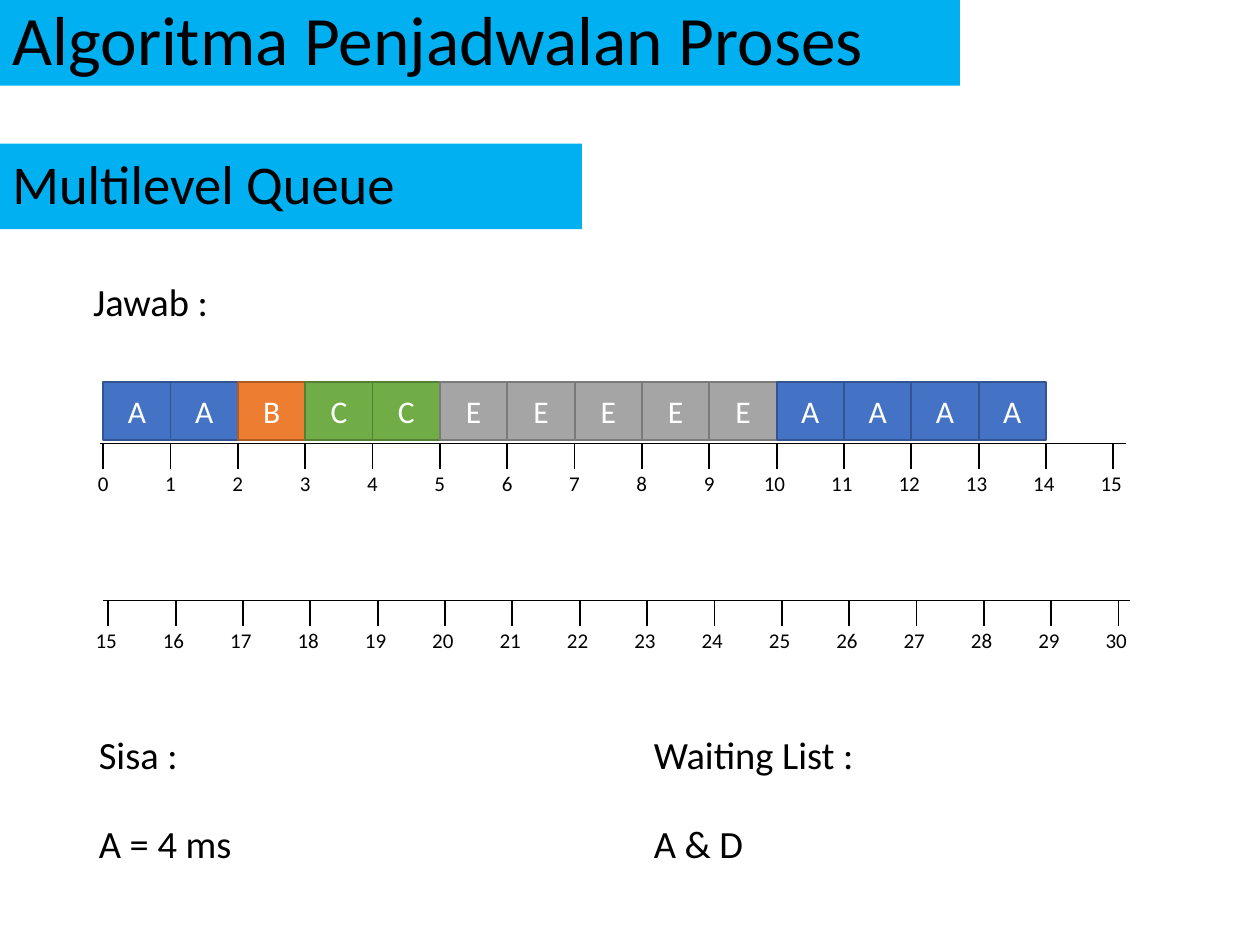
"""Build the multilevel queue scheduling slide with its two timelines."""
from dataclasses import dataclass

from lxml.etree import SubElement
from pptx import Presentation
from pptx.dml.color import RGBColor
from pptx.enum.shapes import MSO_CONNECTOR, MSO_SHAPE
from pptx.enum.text import MSO_ANCHOR, MSO_AUTO_SIZE, PP_ALIGN
from pptx.oxml.ns import qn
from pptx.shapes.autoshape import Shape
from pptx.slide import Slide
from pptx.util import Pt

BLACK = RGBColor(0x00, 0x00, 0x00)
WHITE = RGBColor(0xFF, 0xFF, 0xFF)
SKY = RGBColor(0x00, 0xB0, 0xF0)
BLUE, BLUE_EDGE = RGBColor(0x44, 0x72, 0xC4), RGBColor(0x32, 0x54, 0x91)
ORANGE, ORANGE_EDGE = RGBColor(0xED, 0x7D, 0x31), RGBColor(0xAF, 0x5C, 0x24)
GREEN, GREEN_EDGE = RGBColor(0x70, 0xAD, 0x47), RGBColor(0x53, 0x80, 0x35)
GREY, GREY_EDGE = RGBColor(0xA5, 0xA5, 0xA5), RGBColor(0x7A, 0x7A, 0x7A)

FONT = "Calibri"
UNIT = 38.48
AXIS_LENGTH = 586.8
TICK_LENGTH = 14.4
INTERVALS = 15
QUEUE_LEFT, QUEUE_TOP, BLOCK_HEIGHT = 59, 218.2, 33.1


@dataclass(frozen=True)
class Banner:
    text: str
    top: float
    width: float
    size: float


@dataclass(frozen=True)
class Timeline:
    start: int
    axis_left: float
    first_tick: float
    top: float


@dataclass(frozen=True)
class Process:
    fill: RGBColor
    edge: RGBColor


@dataclass(frozen=True)
class Note:
    text: str
    left: float
    top: float
    width: float = 142.6


BANNERS = (
    Banner("Algoritma Penjadwalan Proses", 0, 548.6, 39.6),
    Banner("Multilevel Queue", 82, 332.6, 31.2),
)
TIMELINES = (
    Timeline(0, 56.9, 59, 253.4),
    Timeline(15, 59, 61.9, 343.4),
)
PROCESSES = {
    "A": Process(BLUE, BLUE_EDGE),
    "B": Process(ORANGE, ORANGE_EDGE),
    "C": Process(GREEN, GREEN_EDGE),
    "E": Process(GREY, GREY_EDGE),
}
SCHEDULE = "AABCCEEEEEAAAA"
NOTES = (
    Note("Jawab :", 46.1, 155.5),
    Note("Sisa :", 49.4, 414),
    Note("Waiting List :", 366.5, 414),
    Note("A = 4 ms", 49.4, 465.1, 205.2),
    Note("A & D", 366.5, 465.1),
)


def write(shape: Shape, text: str, *, size: float, color: RGBColor = BLACK,
          align: PP_ALIGN = PP_ALIGN.LEFT, anchor: MSO_ANCHOR = MSO_ANCHOR.TOP,
          spacing: float = 1.0, grow: bool = False) -> None:
    """Put one formatted paragraph into a shape."""
    frame = shape.text_frame
    frame.word_wrap = True
    frame.vertical_anchor = anchor
    if grow:
        frame.auto_size = MSO_AUTO_SIZE.SHAPE_TO_FIT_TEXT
    paragraph = frame.paragraphs[0]
    paragraph.alignment = align
    paragraph.line_spacing = spacing
    run = paragraph.add_run()
    run.text = text
    run.font.name = FONT
    run.font.size = Pt(size)
    run.font.color.rgb = color


def add_box(slide: Slide, left: float, top: float, width: float, height: float,
            fill: RGBColor) -> Shape:
    """Add a filled rectangle without outline or shadow."""
    box = slide.shapes.add_shape(MSO_SHAPE.RECTANGLE, Pt(left), Pt(top), Pt(width), Pt(height))
    box.shadow.inherit = False
    box.fill.solid()
    box.fill.fore_color.rgb = fill
    box.line.fill.background()
    return box


def add_line(slide: Slide, x1: float, y1: float, x2: float, y2: float, weight: float) -> None:
    """Add a plain black straight line."""
    line = slide.shapes.add_connector(MSO_CONNECTOR.STRAIGHT, Pt(x1), Pt(y1), Pt(x2), Pt(y2))
    line.line.color.rgb = BLACK
    line.line.width = Pt(weight)
    SubElement(line.element.spPr, qn("a:effectLst"))


def draw_banner(slide: Slide, banner: Banner) -> None:
    """Draw a heading on its coloured band."""
    band = add_box(slide, 0, banner.top, banner.width, 49, SKY)
    write(band, banner.text, size=banner.size, anchor=MSO_ANCHOR.MIDDLE, spacing=0.9)


def draw_timeline(slide: Slide, timeline: Timeline) -> None:
    """Draw an axis with evenly spaced ticks and their times."""
    top = timeline.top
    add_line(slide, timeline.axis_left, top, timeline.axis_left + AXIS_LENGTH, top, 0.5)
    for index in range(INTERVALS + 1):
        tick = timeline.first_tick + index * UNIT
        add_line(slide, tick, top, tick, top + TICK_LENGTH, 1)
        time = str(timeline.start + index)
        offset, width = (10.2, 23.8) if len(time) == 1 else (14.4, 29)
        label = slide.shapes.add_textbox(Pt(tick - offset), Pt(top + 11.9), Pt(width), Pt(21.6))
        write(label, time, size=12, grow=True)


def draw_block(slide: Slide, slot: int, name: str) -> None:
    """Draw the process that runs in one time slot."""
    process = PROCESSES[name]
    block = add_box(slide, QUEUE_LEFT + slot * UNIT, QUEUE_TOP, UNIT, BLOCK_HEIGHT, process.fill)
    block.line.color.rgb = process.edge
    block.line.width = Pt(1)
    write(block, name, size=18, color=WHITE, align=PP_ALIGN.CENTER, anchor=MSO_ANCHOR.MIDDLE)


def draw_note(slide: Slide, note: Note) -> None:
    """Draw a line of the worked answer."""
    box = slide.shapes.add_textbox(Pt(note.left), Pt(note.top), Pt(note.width), Pt(33.8))
    write(box, note.text, size=22, align=PP_ALIGN.JUSTIFY, grow=True)


def main() -> None:
    """Build and save the slide."""
    deck = Presentation()
    deck.slide_width, deck.slide_height = Pt(720), Pt(540)
    slide = deck.slides.add_slide(deck.slide_layouts[6])
    for banner in BANNERS:
        draw_banner(slide, banner)
    for timeline in TIMELINES:
        draw_timeline(slide, timeline)
    for slot, name in enumerate(SCHEDULE):
        draw_block(slide, slot, name)
    for note in NOTES:
        draw_note(slide, note)
    deck.save("out.pptx")


if __name__ == "__main__":
    main()
